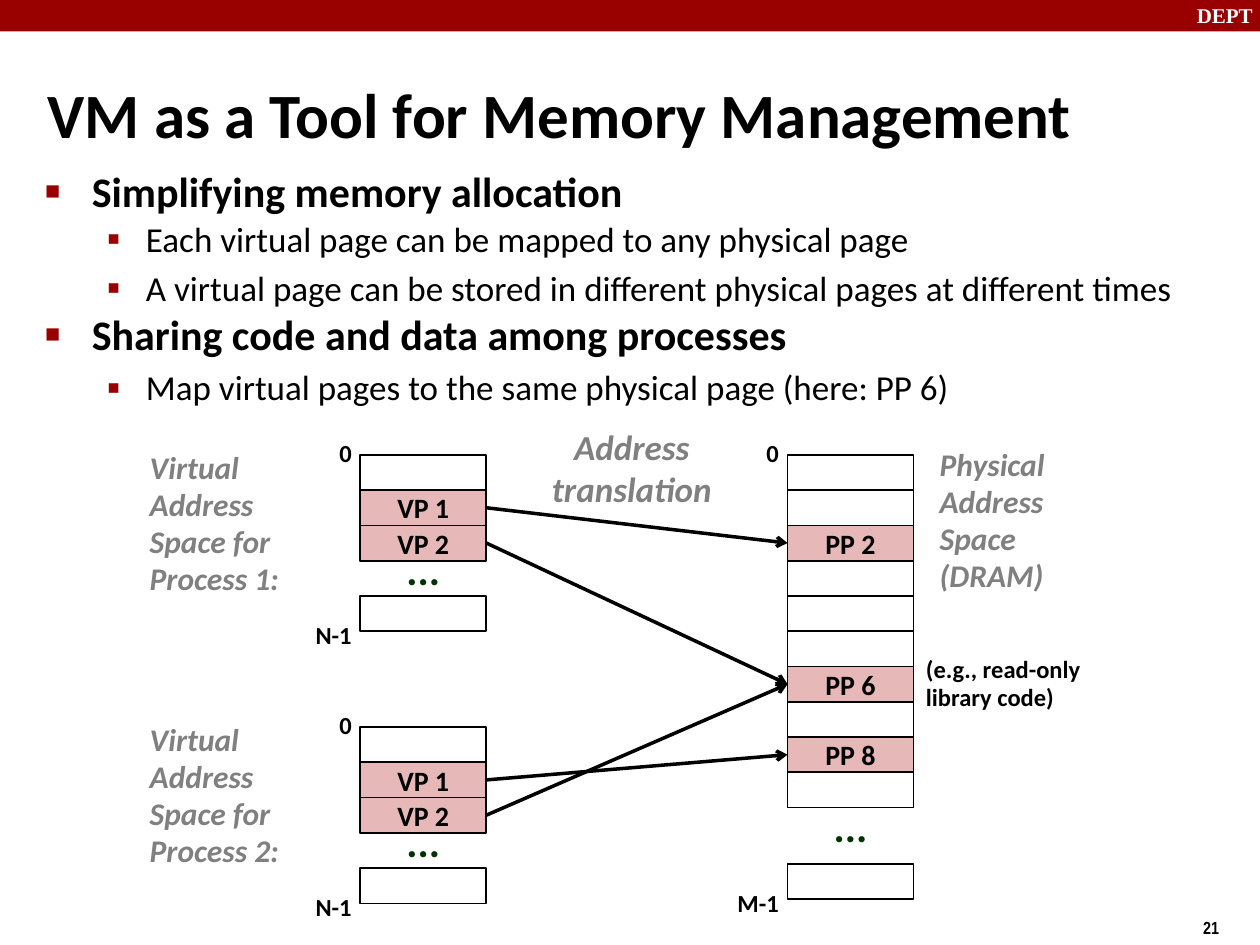
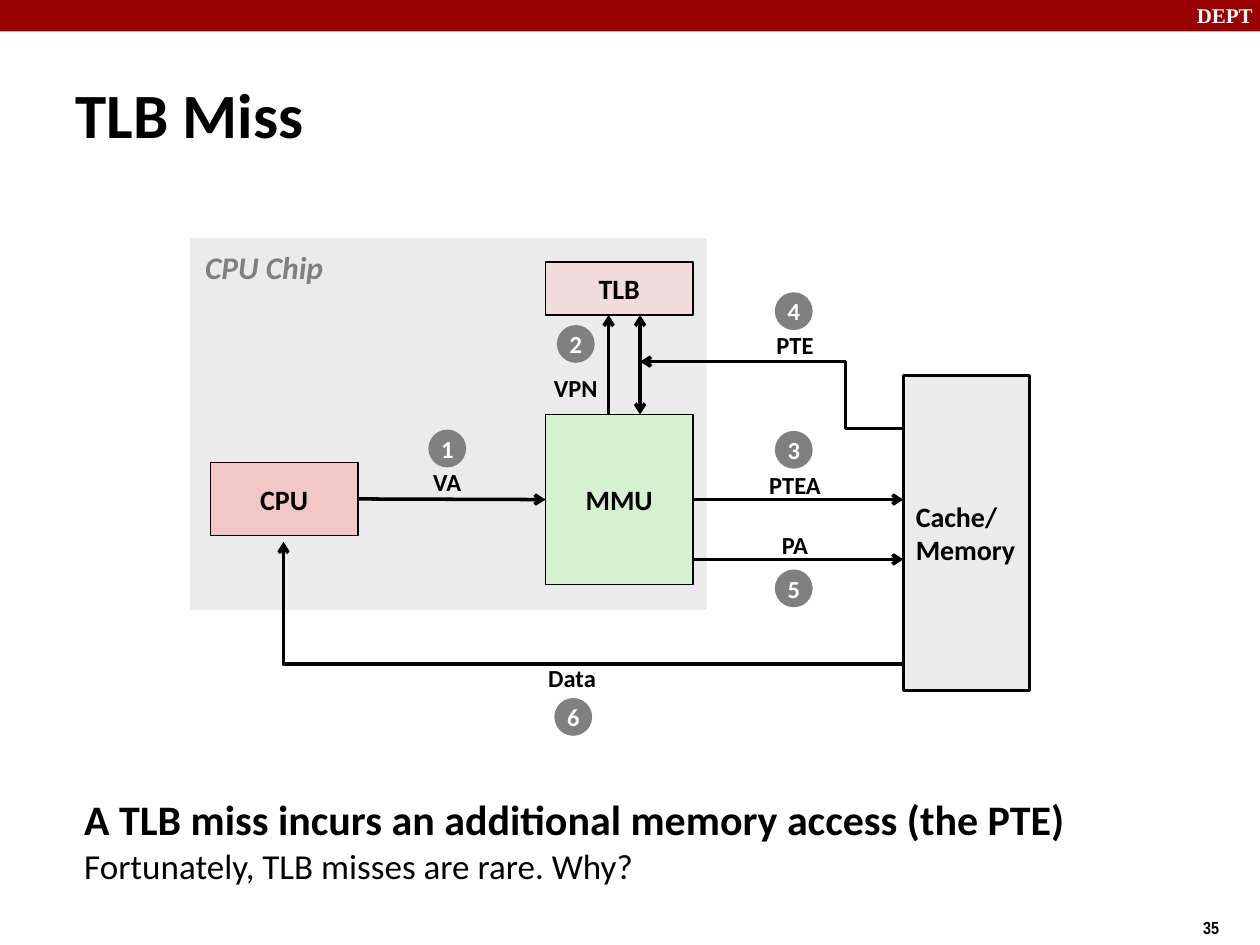
from lxml import etree
from pptx import Presentation
from pptx import util as u
from pptx.dml.color import RGBColor
from pptx.enum import shapes, text
from pptx.oxml import ns

BLACK = RGBColor(0x00, 0x00, 0x00)
WHITE = RGBColor(0xFF, 0xFF, 0xFF)
BAND_RED = RGBColor(0x99, 0x00, 0x00)
GRAY = RGBColor(0x80, 0x80, 0x80)
LIGHT_GRAY = RGBColor(0xEB, 0xEB, 0xEB)
DARK_GREEN = RGBColor(0x00, 0x33, 0x00)
PAGE_PINK = RGBColor(0xE6, 0xB9, 0xB8)
CPU_PINK = RGBColor(0xF1, 0xC7, 0xC7)
TLB_PINK = RGBColor(0xF2, 0xDC, 0xDB)
MMU_GREEN = RGBColor(0xD5, 0xF1, 0xCF)

LEFT, CENTER, RIGHT = text.PP_ALIGN.LEFT, text.PP_ALIGN.CENTER, text.PP_ALIGN.RIGHT
TOP, MIDDLE = text.MSO_ANCHOR.TOP, text.MSO_ANCHOR.MIDDLE
RECT, OVAL = shapes.MSO_SHAPE.RECTANGLE, shapes.MSO_SHAPE.OVAL
STRAIGHT, ELBOW = shapes.MSO_CONNECTOR.STRAIGHT, shapes.MSO_CONNECTOR.ELBOW

COLS, ROWS = 100, 75        # the slide is a grid of square cells
PAGE_W, PAGE_H = 10, 2.8    # one memory page, in cells
BULLETS = (                 # char, size %, left margin, indent, text size, bold, space before
    ("■", 60, 3.8, -3.7, 24, True, 4.8),
    ("▪", 110, 8.1, -3.1, 20, False, 4),
)


def add_xml(parent, tag, **attrs):
    return etree.SubElement(parent, ns.qn(tag), attrs)


class Deck:
    font = "Calibri"

    def __init__(self):
        self.prs = Presentation()
        self.prs.slide_width, self.prs.slide_height = u.Inches(10), u.Inches(7.5)
        self.s = None

    def x(self, cols):
        return round(self.prs.slide_width * cols / COLS)

    def y(self, rows):
        return round(self.prs.slide_height * rows / ROWS)

    def box(self, x, y, w, h):
        return self.x(x), self.y(y), self.x(w), self.y(h)

    def new_slide(self, title, title_x, number):
        self.s = self.prs.slides.add_slide(self.prs.slide_layouts[6])
        self.shape(0, 0, COLS, 2.5, fill=BAND_RED, line=None)
        self.label(94, -0.3, 6.7, 3, ["DEPT"], 12, WHITE, font="Times New Roman")
        self.label(94.5, 72.3, 5, 2.9, [str(number)], 10, font="Arial Narrow")
        self.label(title_x, 5.8, 94.2, 6.4, [title], 36, anchor=MIDDLE)

    def add_run(self, p, words, size, color=BLACK, bold=True, italic=False, font=None):
        r = p.add_run()
        r.text = words
        f = r.font
        f.name, f.size, f.bold, f.italic = font or self.font, u.Pt(size), bold, italic
        f.color.rgb = color

    def add_lines(self, sp, lines, size, color=BLACK, align=LEFT, anchor=TOP,
                  wrap=True, spacing=None, **style):
        tf = sp.text_frame
        tf.word_wrap, tf.vertical_anchor = wrap, anchor
        for i, words in enumerate(lines):
            p = tf.add_paragraph() if i else tf.paragraphs[0]
            p.alignment, p.line_spacing = align, spacing
            self.add_run(p, words, size, color, **style)

    def label(self, x, y, w, h, lines, size=14, color=BLACK, **style):
        sp = self.s.shapes.add_textbox(*self.box(x, y, w, h))
        self.add_lines(sp, lines, size, color, **style)

    def caption(self, x, y, w, h, lines, size=18, **style):
        self.label(x, y, w, h, lines, size, GRAY, italic=True, **style)

    def center_label(self, cx, y, words):
        self.label(cx - 4, y, 8, 3.3, [words], align=CENTER, anchor=MIDDLE, spacing=0.98)

    def shape(self, x, y, w, h, lines=(), fill=None, line=1, kind=RECT,
              size=16, color=BLACK, align=CENTER):
        sp = self.s.shapes.add_shape(kind, *self.box(x, y, w, h))
        sp.shadow.inherit = False
        if fill is None:
            sp.fill.background()
        else:
            sp.fill.solid()
            sp.fill.fore_color.rgb = fill
        if line is None:
            sp.line.fill.background()
        else:
            sp.line.color.rgb = BLACK
            sp.line.width = u.Pt(line)
        self.add_lines(sp, lines, size, color, align, MIDDLE, wrap=False)
        return sp

    def step(self, cx, cy, number):
        """Numbered disc centred on a grid point."""
        self.shape(cx - 1.5, cy - 1.5, 3, 3, [str(number)], GRAY, None, OVAL, 14, WHITE)

    def connector(self, kind, start, end, both_ends):
        c = self.s.shapes.add_connector(kind, self.x(start[0]), self.y(start[1]),
                                        self.x(end[0]), self.y(end[1]))
        c.line.color.rgb = BLACK
        c.line.width = u.Pt(2)
        pr = c._element.spPr
        ln = pr.find(ns.qn("a:ln"))
        if both_ends:
            add_xml(ln, "a:headEnd", type="arrow")
        add_xml(ln, "a:tailEnd", type="arrow")
        add_xml(pr, "a:effectLst")
        return c

    def arrow(self, start=(0, 0), end=(0, 0), source=None, target=None, both_ends=False):
        """Straight arrow; a source is left at its right side, a target met at its left."""
        c = self.connector(STRAIGHT, start, end, both_ends)
        if source is not None:
            c.begin_connect(source, 3)
        if target is not None:
            c.end_connect(target, 1)

    def bent_arrow(self, start, end, preset, bend=None):
        """Arrow that leaves leftwards from its lower right start to its upper left end."""
        c = self.connector(ELBOW, end, start, False)
        pr = c._element.spPr
        pr.find(ns.qn("a:xfrm")).set("rot", str(180 * 60000))
        geom = pr.find(ns.qn("a:prstGeom"))
        geom.set("prst", preset)
        if bend is not None:
            guides = geom.find(ns.qn("a:avLst"))
            if guides is None:
                guides = add_xml(geom, "a:avLst")
            add_xml(guides, "a:gd", name="adj1", fmla=f"val {round(bend * 100000)}")

    def bullets(self, x, y, w, h, items):
        tf = self.s.shapes.add_textbox(*self.box(x, y, w, h)).text_frame
        tf.word_wrap = True
        for i, (level, words, spacing) in enumerate(items):
            char, percent, margin, indent, size, bold, before = BULLETS[level]
            p = tf.add_paragraph() if i else tf.paragraphs[0]
            p.level, p.line_spacing, p.space_before = level, spacing, u.Pt(before)
            pr = p._p.get_or_add_pPr()
            pr.set("marL", str(self.x(margin)))
            pr.set("indent", str(self.x(indent)))
            add_xml(add_xml(pr, "a:buClr"), "a:srgbClr", val=str(BAND_RED))
            add_xml(pr, "a:buSzPct", val=str(percent * 1000))
            add_xml(pr, "a:buFont", typeface="Arial")
            add_xml(pr, "a:buChar", char=char)
            self.add_run(p, words, size, bold=bold)

    def memory(self, x, y, pages, last_address, gap=1):
        """Column of pages; None is a gap with dots. Returns the named pages."""
        named, top = {}, y
        for page in pages:
            if page is None:
                height = PAGE_H * gap
                self.label(x, top + height / 2 - 2.75, PAGE_W, 5, ["..."], 24, DARK_GREEN,
                           align=CENTER, spacing=0.88)
                top += height
                continue
            sp = self.shape(x, top, PAGE_W, PAGE_H, [page] if page else [],
                            PAGE_PINK if page else None)
            if page:
                named[page] = sp
            top += PAGE_H
        for address, label_y in (("0", y - 1.7), (last_address, top - 1.3)):
            self.label(x - 7.7, label_y, 8, 3.3, [address], align=RIGHT, spacing=0.98)
        return named


def memory_management(d):
    d.new_slide("VM as a Tool for Memory Management", 2.8, 21)
    d.bullets(2.5, 13.3, 95.8, 20.8, [
        (0, "Simplifying memory allocation", 0.83),
        (1, "Each virtual page can be mapped to any physical page", 0.88),
        (1, "A virtual page can be stored in different physical pages at different times", None),
        (0, "Sharing code and data among processes", 0.83),
        (1, "Map virtual pages to the same physical page (here: PP 6)", None),
    ])
    physical = d.memory(62.5, 36.1, ["", "", "PP 2", "", "", "", "PP 6", "", "PP 8", "", None, ""],
                        "M-1", gap=1.6)
    targets = (("PP 2", "PP 6"), ("PP 8", "PP 6"))
    for i, (first, second) in enumerate(targets):
        top = 36.1 + 21.6 * i
        d.caption(10.9, top - 0.9, 15, 12.8, [f"Virtual Address Space for Process {i + 1}:"],
                  spacing=0.98)
        virtual = d.memory(28.6, top, ["", "VP 1", "VP 2", None, ""], "N-1")
        d.arrow(source=virtual["VP 1"], target=physical[first])
        d.arrow(source=virtual["VP 2"], target=physical[second])
    d.caption(73.6, 35, 11.7, 12.8, ["Physical", "Address", "Space (DRAM)"], spacing=0.98)
    d.caption(42.3, 33.3, 15.7, 7.7, ["Address", "translation"], 20, align=CENTER)
    d.label(72.5, 51.5, 15.8, 5.6, ["(e.g., read-only", "library code)"], spacing=0.98)


def tlb_miss(d):
    d.new_slide("TLB Miss", 5, 35)
    d.shape(15.1, 18.9, 41, 29.5, fill=LIGHT_GRAY, line=None)
    d.caption(15.3, 19.2, 12, 4, ["CPU Chip"])
    mmu = d.shape(43.3, 32.9, 11.7, 13.5, ["MMU"], MMU_GREEN)
    cpu = d.shape(16.7, 36.7, 11.7, 5.8, ["CPU"], CPU_PINK)
    d.shape(43.3, 20.8, 11.7, 4.2, ["TLB"], TLB_PINK)
    d.shape(71.7, 29.8, 10, 25, ["Cache/", "Memory"], LIGHT_GRAY, 1.5, align=LEFT)

    d.arrow(source=cpu, target=mmu)
    d.arrow(end=(71.7, 39.65), source=mmu)
    d.arrow((55, 44.4), (71.7, 44.4))
    d.arrow((48.3, 32.9), (48.3, 25))
    d.arrow((50.8, 25), (50.8, 32.9), both_ends=True)
    d.bent_arrow((71.7, 34), (50.8, 28.7), "bentConnector3", 0.22)
    d.bent_arrow((71.7, 52.7), (22.5, 43), "bentConnector2")

    for cx, y, words in ((35.5, 36.7, "VA"), (45.7, 29.2, "VPN"), (63.1, 36.9, "PTEA"),
                         (63.1, 25.8, "PTE"), (63.1, 41.7, "PA"), (45.4, 52.2, "Data")):
        d.center_label(cx, y, words)
    steps = ((35.5, 35.6), (45.7, 27.3), (63, 35.7), (63, 24.7), (63, 46.7), (45.5, 56.9))
    for number, (cx, cy) in enumerate(steps, 1):
        d.step(cx, cy, number)

    tf = d.s.shapes.add_textbox(*d.box(5.7, 62.5, 84.3, 10)).text_frame
    tf.word_wrap = True
    p = tf.paragraphs[0]
    p.space_before = u.Pt(4.8)
    d.add_run(p, "A TLB miss incurs an additional memory access (the PTE)", 24)
    p.add_line_break()
    d.add_run(p, "Fortunately, TLB misses are rare. Why?", 20, bold=False)


def main():
    d = Deck()
    memory_management(d)
    tlb_miss(d)
    d.prs.save("out.pptx")


if __name__ == "__main__":
    main()
